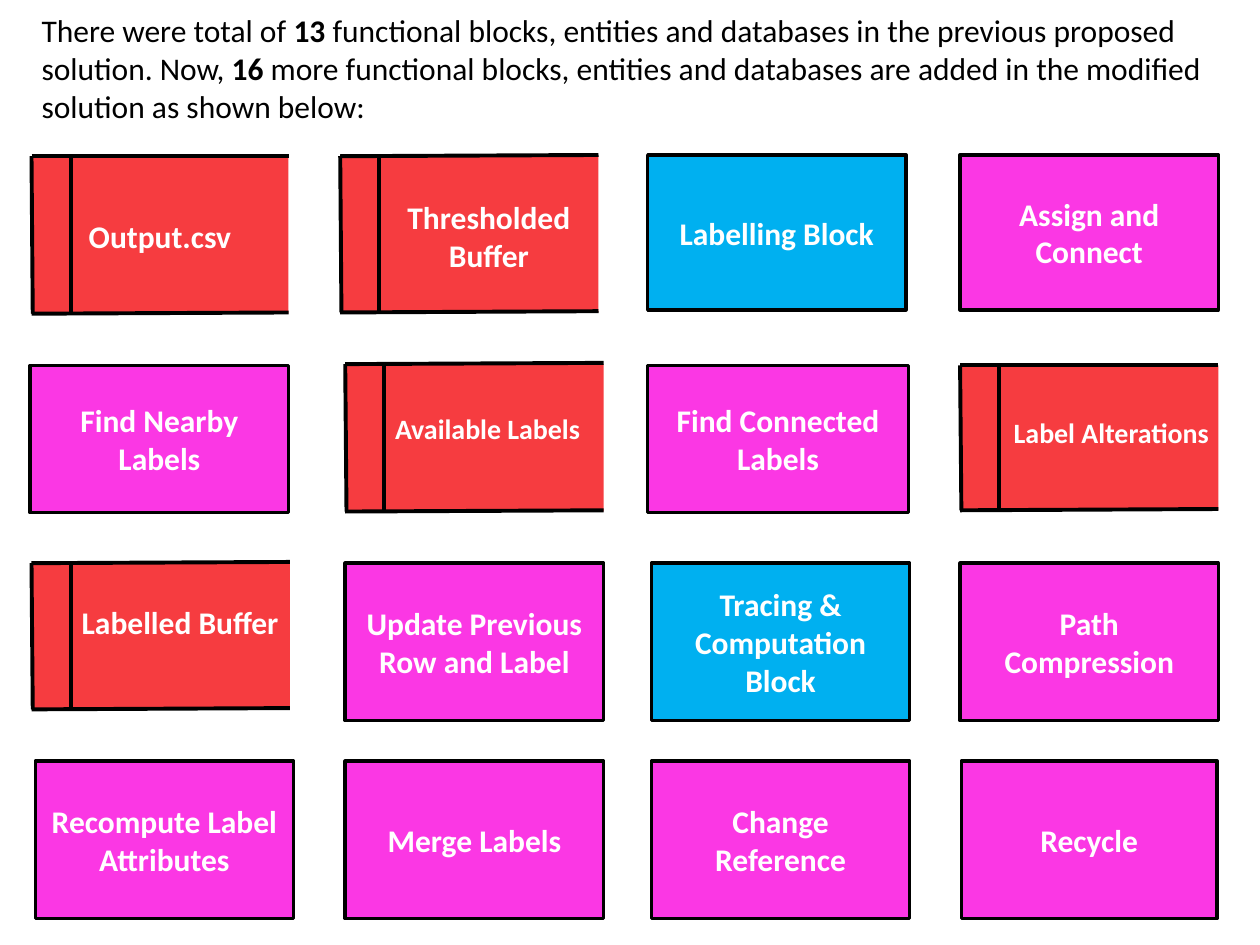
from pptx import Presentation
from pptx.dml.color import RGBColor
from pptx.enum.shapes import MSO_CONNECTOR, MSO_SHAPE
from pptx.enum.text import MSO_ANCHOR, PP_ALIGN
from pptx.oxml.ns import qn
from pptx.util import Inches, Pt
from lxml import etree

RECT = MSO_SHAPE.RECTANGLE
STRAIGHT = MSO_CONNECTOR.STRAIGHT
CENTER = PP_ALIGN.CENTER
MIDDLE = MSO_ANCHOR.MIDDLE

BLACK = RGBColor(0x00, 0x00, 0x00)
WHITE = RGBColor(0xFF, 0xFF, 0xFF)
BLUE = RGBColor(0x00, 0xB0, 0xF0)
PINK = RGBColor(0xFB, 0x37, 0xE4)
RED = RGBColor(0xF6, 0x3C, 0x40)

DIVIDER = 0.31

prs = Presentation()
prs.slide_width = Inches(10)
prs.slide_height = Inches(7.5)
s = prs.slides.add_slide(prs.slide_layouts[6])


def add_rect(x, y, w, h, color):
    sp = s.shapes.add_shape(RECT, Inches(x), Inches(y), Inches(w), Inches(h))
    sp.shadow.inherit = False
    sp.fill.solid()
    sp.fill.fore_color.rgb = color
    return sp


def add_run(p, text, size=18, color=WHITE, bold=True):
    r = p.add_run()
    r.text = text
    r.font.name = "Calibri"
    r.font.size = Pt(size)
    r.font.bold = bold
    r.font.color.rgb = color


# Introduction
intro = [
    ("There were total of ", False),
    ("13 ", True),
    ("functional blocks, entities and databases in the previous proposed solution. Now, ", False),
    ("16", True),
    (" more functional blocks, entities and databases are added in the modified solution "
     "as shown below:", False),
]
tf = s.shapes.add_textbox(Inches(0.25), Inches(0.05), Inches(9.47), Inches(0.99)).text_frame
tf.word_wrap = True
tf.margin_left = tf.margin_right = Inches(0.08)
tf.margin_top = tf.margin_bottom = Inches(0.04)
for text, bold in intro:
    add_run(tf.paragraphs[0], text, color=BLACK, bold=bold)

# Functional blocks, row by row: height and top are shared along each row
block_rows = [
    (1.23, 1.23, [(5.14, 2.05, BLUE, "Labelling Block"),
                  (7.62, 2.05, PINK, "Assign and Connect")]),
    (2.90, 1.17, [(0.24, 2.05, PINK, "Find Nearby Labels"),
                  (5.14, 2.07, PINK, "Find Connected Labels")]),
    (4.47, 1.25, [(2.74, 2.05, PINK, "Update Previous Row and Label"),
                  (5.17, 2.05, BLUE, "Tracing & Computation Block"),
                  (7.62, 2.05, PINK, "Path Compression")]),
    (6.04, 1.25, [(0.28, 2.05, PINK, "Recompute Label Attributes"),
                  (2.74, 2.05, PINK, "Merge Labels"),
                  (5.17, 2.05, PINK, "Change Reference"),
                  (7.63, 2.03, PINK, "Recycle")]),
]
for y, h, blocks in block_rows:
    for x, w, color, text in blocks:
        sp = add_rect(x, y, w, h, color)
        sp.line.color.rgb = BLACK
        sp.line.width = Pt(2)
        tf = sp.text_frame
        tf.word_wrap = True
        tf.vertical_anchor = MIDDLE
        p = tf.paragraphs[0]
        p.alignment = CENTER
        add_run(p, text)

# Data stores: x, y, w, h, rise of the top edge, label box, size, text
stores = [
    (0.25, 1.24, 2.04, 1.25, 0, (0.20, 1.67, 2.14, 0.40), 18, "Output.csv"),
    (2.70, 1.24, 2.05, 1.24, 0.01, (2.92, 1.52, 1.92, 0.71), 18, "Thresholded Buffer"),
    (2.74, 2.89, 2.05, 1.17, 0.01, (2.96, 3.22, 1.82, 0.37), 16, "Available Labels"),
    (7.62, 2.90, 2.05, 1.15, 0, (7.91, 3.25, 1.82, 0.37), 16, "Label Alterations"),
    (0.25, 4.47, 2.05, 1.16, 0.01, (0.47, 4.74, 1.92, 0.40), 18, "Labelled Buffer"),
]
for x, y, w, h, rise, label_box, size, text in stores:
    add_rect(x, y, w, h, RED).line.fill.background()
    right, bottom, divider = x + w, y + h, x + DIVIDER
    edges = [
        (divider, bottom, divider, y),
        (x, y, right, y - rise),
        (x, bottom, right, bottom - 0.01),
        (x + 0.01, bottom, x, y),
    ]
    for edge in edges:
        line = s.shapes.add_connector(STRAIGHT, *[Inches(v) for v in edge])
        line.line.color.rgb = BLACK
        line.line.width = Pt(2.25)
        etree.SubElement(line._element.spPr, qn("a:effectLst"))
    tf = s.shapes.add_textbox(*[Inches(v) for v in label_box]).text_frame
    tf.word_wrap = True
    p = tf.paragraphs[0]
    p.alignment = CENTER
    add_run(p, text, size)

prs.save("out.pptx")
